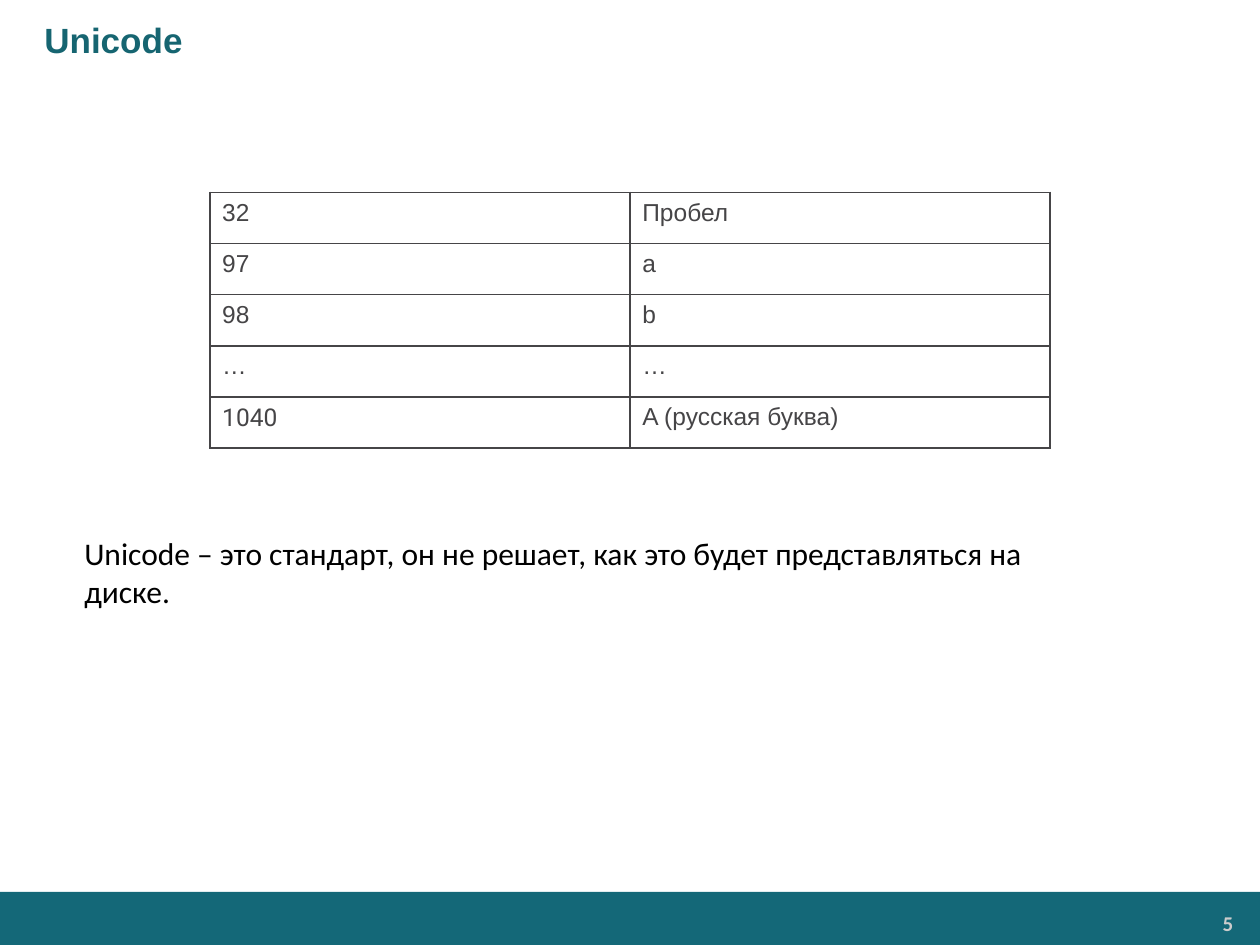
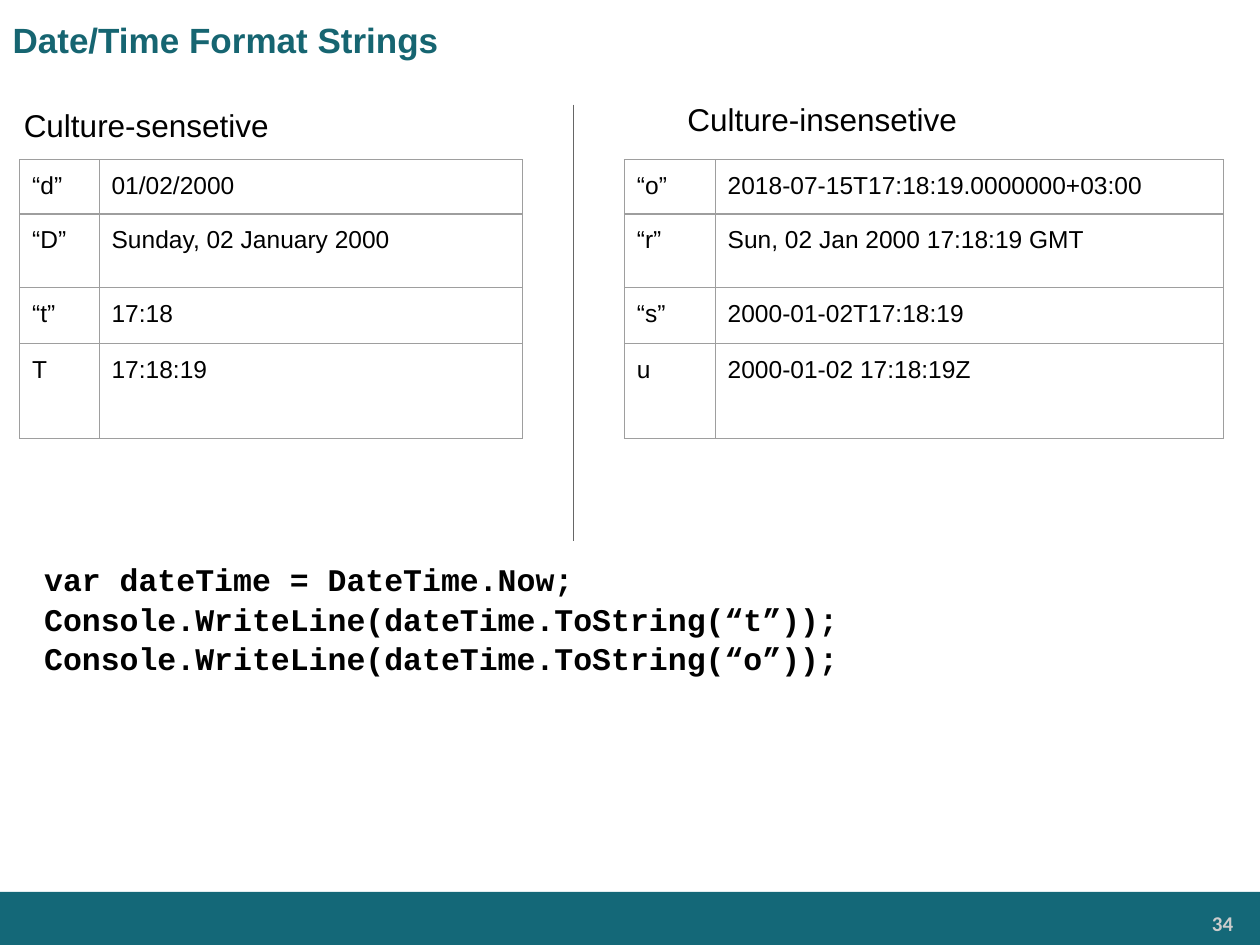
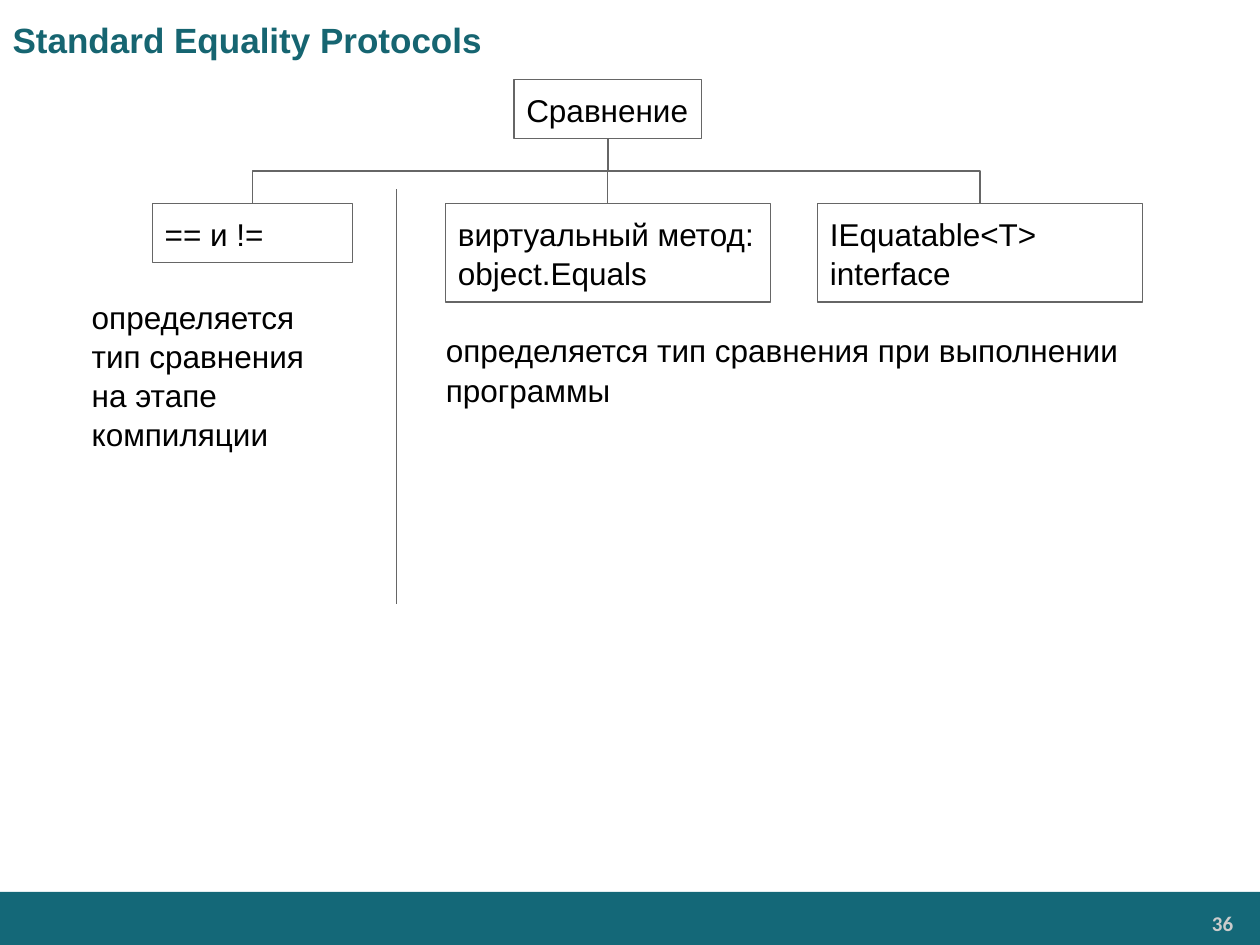
from lxml import etree
from pptx import Presentation
from pptx.dml.color import RGBColor
from pptx.enum import shapes, text
from pptx.oxml.ns import qn
from pptx.util import Cm, Pt

TEAL, BAND, BLACK = "166571", "146878", "000000"
DARK, GRAY, LINE = "464547", "9E9E9E", "666666"
WHITE, PALE = "FFFFFF", "CCCCCC"
SANS, CODE = "Arial", "Courier New"
LEFT = text.PP_ALIGN.LEFT
TOP, MID = text.MSO_ANCHOR.TOP, text.MSO_ANCHOR.MIDDLE


def rgb(code):
    return RGBColor.from_string(code)


def write(par, words, size=18, font=SANS, color=BLACK, bold=False, align=LEFT):
    par.alignment = align
    for i, line in enumerate(words.split("\n")):
        if i:
            par.add_line_break()
        run = par.add_run()
        run.text = line
        run.font.size = Pt(size)
        run.font.name = font
        run.font.bold = bold
        run.font.color.rgb = rgb(color)


def inset(item, x, y):
    item.margin_left = item.margin_right = Cm(x)
    item.margin_top = item.margin_bottom = Cm(y)


def fill_text(frame, lines, pad=(0.25, 0.25), anchor=TOP, lead=1.04, **style):
    frame.word_wrap = True
    frame.vertical_anchor = anchor
    inset(frame, *pad)
    for i, line in enumerate(lines):
        par = frame.add_paragraph() if i else frame.paragraphs[0]
        par.line_spacing = lead
        write(par, line, **style)


def add_text(slide, place, *lines, **style):
    box = slide.shapes.add_textbox(*map(Cm, place))
    fill_text(box.text_frame, lines, **style)


def add_rect(slide, place, fill, line=None):
    rect = slide.shapes.add_shape(shapes.MSO_SHAPE.RECTANGLE, *map(Cm, place))
    rect.shadow.inherit = False
    rect.fill.solid()
    rect.fill.fore_color.rgb = rgb(fill)
    if line:
        rect.line.color.rgb = rgb(line)
        rect.line.width = Pt(0.75)
    else:
        rect.line.fill.background()
    return rect


def add_node(slide, place, words):
    node = add_rect(slide, place, WHITE, LINE)
    fill_text(node.text_frame, [words], anchor=MID)
    return node


def add_line(slide, kind, *ends):
    line = slide.shapes.add_connector(kind, *ends)
    line.line.color.rgb = rgb(LINE)
    line.line.width = Pt(0.75)
    etree.SubElement(line.element.spPr, qn("a:effectLst"))
    return line


def add_rule(slide, x, top, end):
    add_line(slide, shapes.MSO_CONNECTOR.STRAIGHT, Cm(x), Cm(top), Cm(x), Cm(end))


def add_branch(slide, root, leaf):
    link = add_line(slide, shapes.MSO_CONNECTOR.ELBOW, 0, 0, 0, 0)
    link.begin_connect(root, 2)
    link.end_connect(leaf, 0)
    x1, x2 = (n.left + n.width // 2 for n in (root, leaf))
    y1, y2 = root.top + root.height, leaf.top
    wide, high = y2 - y1, abs(x2 - x1)
    link.left, link.top = (x1 + x2 - wide) // 2, (y1 + y2 - high) // 2
    link.width, link.height = wide, high
    form = link.element.spPr.find(qn("a:xfrm"))
    for key in ("flipH", "flipV"):
        form.attrib.pop(key, None)
    if x2 < x1:
        form.set("rot", "5400000")
    else:
        form.set("rot", "16200000")
        form.set("flipH", "1")


def add_edges(cell, color, width):
    props = cell._tc.get_or_add_tcPr()
    for i, side in enumerate(("lnL", "lnR", "lnT", "lnB")):
        edge = etree.Element(qn("a:" + side), w=str(Pt(width)))
        paint = etree.SubElement(edge, qn("a:solidFill"))
        etree.SubElement(paint, qn("a:srgbClr"), val=color)
        props.insert(i, edge)


def add_grid(slide, left, top, cols, rows, data, edge, pad, color=BLACK, fonts={}):
    frame = slide.shapes.add_table(len(rows), len(cols), Cm(left), Cm(top),
                                   Cm(sum(cols)), Cm(sum(rows)))
    grid = frame.table
    grid.first_row = grid.horz_banding = False
    for col, width in zip(grid.columns, cols):
        col.width = Cm(width)
    for row, high, words in zip(grid.rows, rows, data):
        row.height = Cm(high)
        for cell, word in zip(row.cells, words):
            cell.fill.background()
            inset(cell, 0.25, pad)
            add_edges(cell, *edge)
            write(cell.text_frame.paragraphs[0], word, 14, fonts.get(word, SANS), color)


def set_layout(deck):
    layout = deck.slide_layouts.get_by_name("Title Only")
    head = layout.placeholders[0]
    head.left, head.top, head.width, head.height = map(Cm, (0, 0, 25.4, 1.6))
    head.text_frame.vertical_anchor = MID
    return layout


def add_slide(deck, layout, title, page, indent=0):
    slide = deck.slides.add_slide(layout)
    if page == 5:
        band = add_rect(slide, (0, 17.98, 25.4, 1.09), BAND)
        layout.shapes.element.insert(2, band.element)
    par = slide.shapes.title.text_frame.paragraphs[0]
    write(par, title, 20, color=TEAL, bold=True)
    if indent:
        par._p.get_or_add_pPr().set("marL", str(Cm(indent)))
    add_text(slide, (20.9, 18.26, 4.14, 0.71), str(page), pad=(0.18, 0.1), lead=1,
             size=12, font="Calibri", color=PALE, bold=True,
             align=text.PP_ALIGN.RIGHT)
    return slide


def add_codes(deck, layout):
    slide = add_slide(deck, layout, "Unicode", 5, 0.64)
    data = [("32", "Пробел"), ("97", "a"), ("98", "b"), ("…", "…"),
            ("1040", "A (русская буква)")]
    add_grid(slide, 4.23, 3.88, [8.47] * 2, [1.03] * 5, data, (DARK, 1), 0.13,
             DARK, {"1040": "Roboto"})
    add_text(slide, (1.45, 10.64, 20.6, 1.8),
             "Unicode – это стандарт, он не решает, как это будет представляться на диске.",
             pad=(0.25, 0.13), lead=1, font="Calibri")


def add_dates(deck, layout):
    slide = add_slide(deck, layout, "Date/Time Format Strings", 34)
    add_rule(slide, 11.56, 2.11, 10.9)
    add_text(slide, (0.23, 1.88, 10.13, 1.6), "Culture-sensetive", lead=1)
    add_text(slide, (13.61, 1.6, 8.33, 1.6), "Culture-insensetive", anchor=MID, lead=1)
    local = [("“d”", "01/02/2000"), ("“D”", "Sunday, 02 January 2000"),
             ("“t”", "17:18"), ("T", "17:18:19")]
    fixed = [("“o”", "2018-07-15T17:18:19.0000000+03:00"),
             ("“r”", "Sun, 02 Jan 2000 17:18:19 GMT"),
             ("“s”", "2000-01-02T17:18:19"), ("u", "2000-01-02 17:18:19Z")]
    rows = [0.97, 1.48, 1.14, 1.9]
    for left, cols, data in ((0.4, (1.6, 8.53), local), (12.59, (1.83, 10.24), fixed)):
        add_grid(slide, left, 3.22, cols, rows, data, (GRAY, 0.75), 0.25)
    add_text(slide, (0.64, 11, 19.38, 3.2), "var dateTime = DateTime.Now;",
             "Console.WriteLine(dateTime.ToString(“t”));",
             "Console.WriteLine(dateTime.ToString(“o”));",
             lead=1.05, font=CODE, bold=True)


def add_tree(deck, layout):
    slide = add_slide(deck, layout, "Standard Equality Protocols", 36)
    root = add_node(slide, (10.36, 1.6, 3.79, 1.19), "Сравнение")
    leaves = [(3.07, 4.04, 1.19, "== и !="),
              (8.98, 6.55, 1.98, "виртуальный метод:\nobject.Equals"),
              (16.48, 6.55, 1.98, "IEquatable<T> interface")]
    for left, wide, high, words in leaves:
        add_branch(slide, root, add_node(slide, (left, 4.11, wide, high), words))
    add_rule(slide, 8, 3.81, 12.17)
    add_text(slide, (1.6, 5.72, 5.41, 3.48),
             "определяется тип сравнения на этапе компиляции")
    add_text(slide, (8.74, 6.4, 14.3, 3.48),
             "определяется тип сравнения при выполнении программы")


def main():
    deck = Presentation()
    deck.slide_width, deck.slide_height = Cm(25.4), Cm(19.05)
    layout = set_layout(deck)
    add_codes(deck, layout)
    add_dates(deck, layout)
    add_tree(deck, layout)
    deck.save("out.pptx")


if __name__ == "__main__":
    main()
